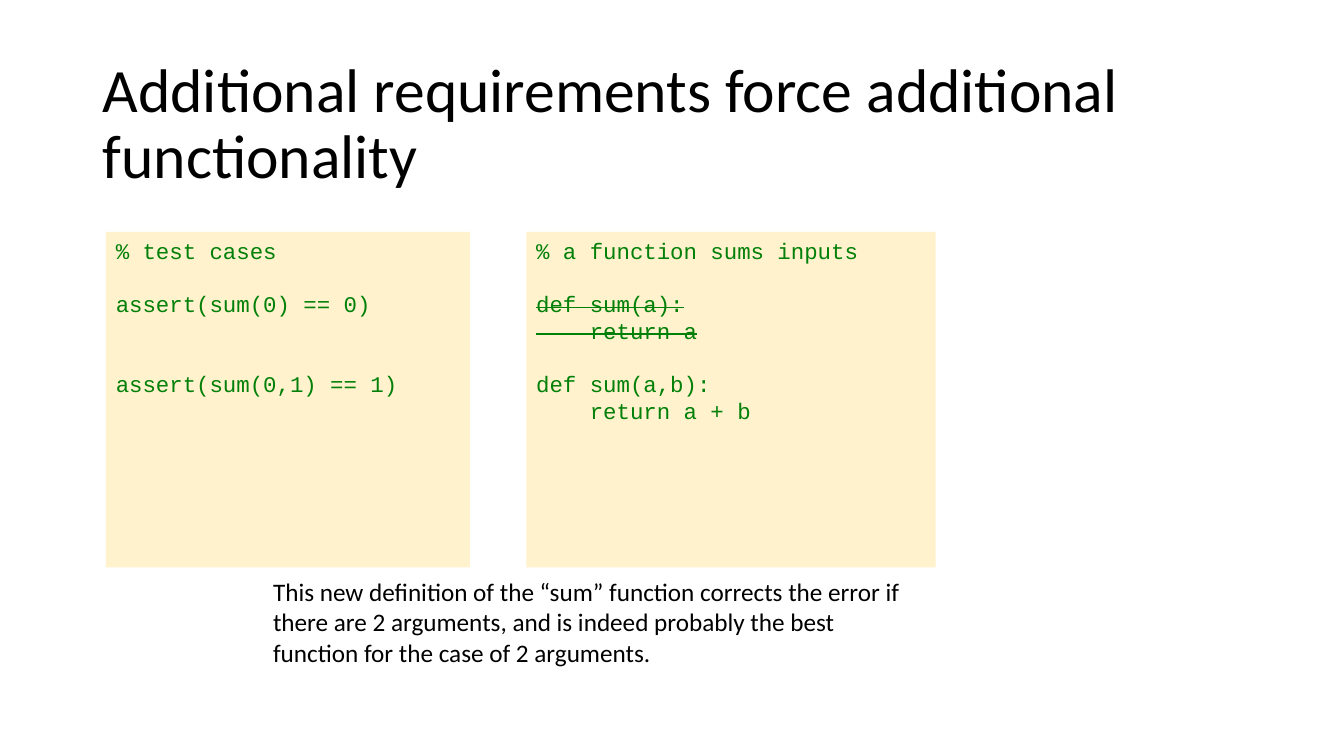
from pptx import Presentation
from pptx.dml.color import RGBColor
from pptx.enum.shapes import MSO_SHAPE
from pptx.enum.text import MSO_ANCHOR, PP_ALIGN
from pptx.util import Pt

EMU_PER_PX = 9144
RECTANGLE = MSO_SHAPE.RECTANGLE
TOP, MIDDLE = MSO_ANCHOR.TOP, MSO_ANCHOR.MIDDLE
LEFT = PP_ALIGN.LEFT

BLACK = RGBColor(0x00, 0x00, 0x00)
CODE_GREEN = RGBColor(0x02, 0x80, 0x09)
CREAM = RGBColor(0xFF, 0xF2, 0xCC)

TEST_CASES = [
    ("% test cases", 0, False),
    ("assert(sum(0) == 0)", 1, False),
    ("assert(sum(0,1) == 1)", 2, False),
]
SUM_FUNCTION = [
    ("% a function sums inputs", 0, False),
    ("def sum(a):", 1, True),
    ("    return a", 0, True),
    ("def sum(a,b):", 1, False),
    ("    return a + b", 0, False),
]


class SlideBuilder:
    """Holds the text style and the current slide, and adds its elements."""

    body_font = "Calibri"
    code_font = "Courier New"
    code_size = 16
    code_line = 19

    def __init__(self, presentation):
        self.slide = presentation.slides.add_slide(presentation.slide_layouts[6])

    def box(self, *lengths):
        return [length * EMU_PER_PX for length in lengths]

    def run(self, paragraph, text, font, size, color):
        run = paragraph.add_run()
        run.text = text
        run.font.name = font
        run.font.size = Pt(size)
        run.font.color.rgb = color
        return run

    def text(self, text, left, top, width, height, size, anchor=TOP, line_spacing=1.0):
        shape = self.slide.shapes.add_textbox(*self.box(left, top, width, height))
        frame = shape.text_frame
        frame.word_wrap = True
        frame.vertical_anchor = anchor
        paragraph = frame.paragraphs[0]
        paragraph.line_spacing = line_spacing
        self.run(paragraph, text, self.body_font, size, BLACK)

    def code(self, lines, left, top, width, height):
        shape = self.slide.shapes.add_shape(RECTANGLE, *self.box(left, top, width, height))
        shape.shadow.inherit = False
        shape.fill.solid()
        shape.fill.fore_color.rgb = CREAM
        shape.line.fill.background()
        frame = shape.text_frame
        frame.word_wrap = True
        frame.vertical_anchor = TOP
        for index, (text, gap_lines, struck) in enumerate(lines):
            paragraph = frame.add_paragraph() if index else frame.paragraphs[0]
            paragraph.alignment = LEFT
            paragraph.space_before = Pt(gap_lines * self.code_line)
            run = self.run(paragraph, text, self.code_font, self.code_size, CODE_GREEN)
            if struck:
                run.font._element.set("strike", "sngStrike")


def main():
    presentation = Presentation()
    presentation.slide_width = 1333 * EMU_PER_PX
    presentation.slide_height = 750 * EMU_PER_PX
    builder = SlideBuilder(presentation)
    builder.text("Additional requirements force additional functionality",
                 92, 52, 1150, 145, 44, MIDDLE, 0.9)
    builder.code(TEST_CASES, 105, 230, 361, 333)
    builder.code(SUM_FUNCTION, 522, 230, 406, 333)
    builder.text("This new definition of the “sum” function corrects the error if "
                 "there are 2 arguments, and is indeed probably the best "
                 "function for the case of 2 arguments.",
                 261, 567, 667, 101, 18)
    presentation.save("out.pptx")


if __name__ == "__main__":
    main()
